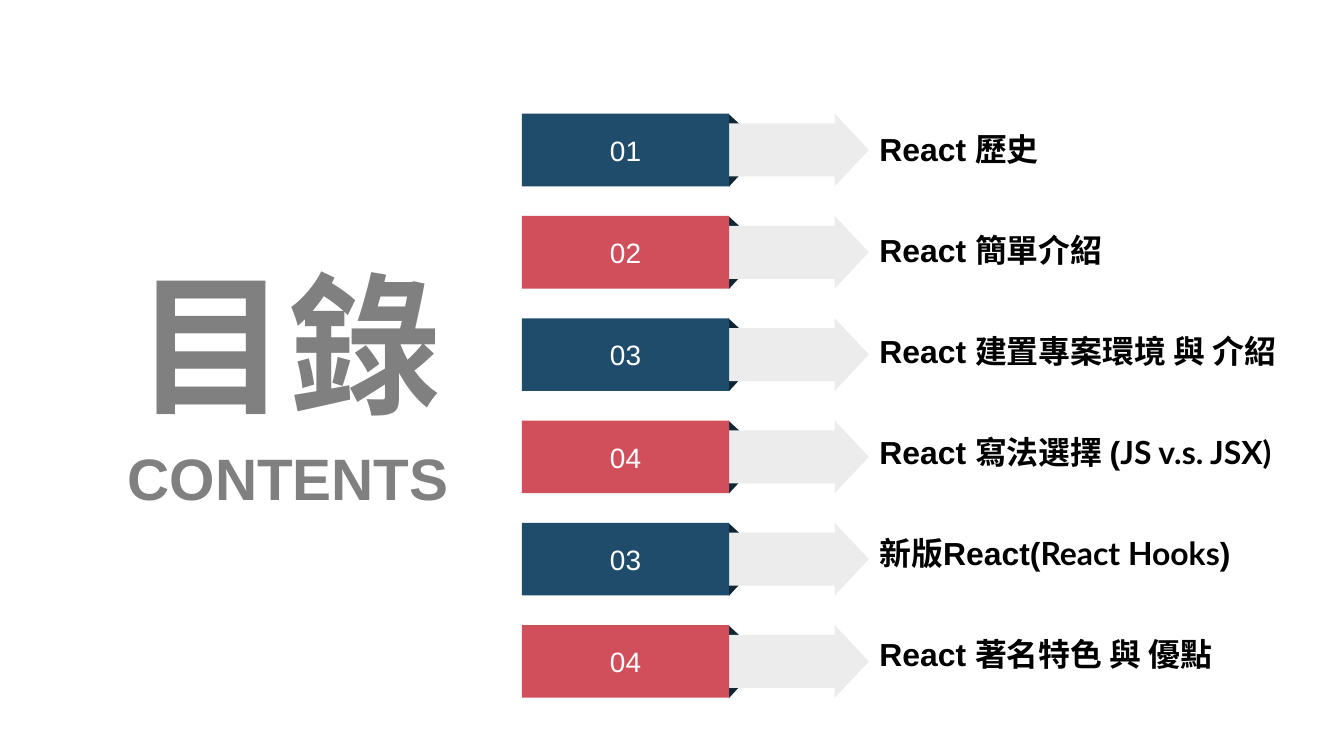
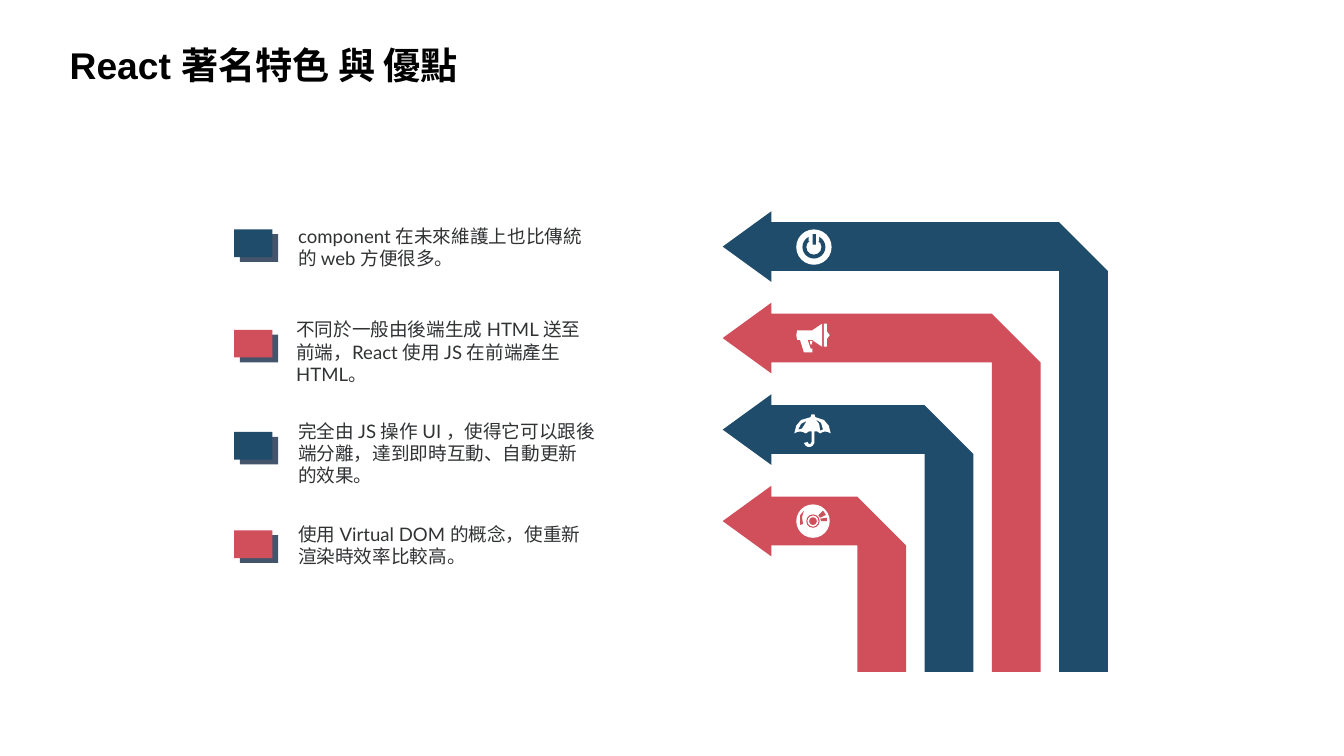
from dataclasses import dataclass

from lxml.etree import SubElement
from pptx import Presentation
from pptx.dml.color import RGBColor
from pptx.enum.shapes import MSO_SHAPE as Preset
from pptx.enum.text import MSO_ANCHOR as Anchor, MSO_AUTO_SIZE as AutoSize, PP_ALIGN as Align
from pptx.oxml.ns import qn
from pptx.util import Inches, Pt

NAVY = RGBColor(0x1F, 0x4C, 0x6B)
ROSE = RGBColor(0xD1, 0x4E, 0x5B)
FOLD = RGBColor(0x10, 0x26, 0x35)
SLATE = RGBColor(0x44, 0x54, 0x6A)
PALE = RGBColor(0xEC, 0xEC, 0xEC)
GREY = RGBColor(0x80, 0x80, 0x80)
INK = RGBColor(0x30, 0x32, 0x33)
BLACK = RGBColor(0, 0, 0)
WHITE = RGBColor(0xFF, 0xFF, 0xFF)
ACCENTS = (NAVY, ROSE)
HEADING_FONT, BODY_FONT = "Arial", "Lato"


@dataclass
class Box:
    left: float
    top: float
    width: float
    height: float

    def area(self, left, top, width, height):
        x, y = self.point(left, top)
        return Box(x, y, round(self.width * width / 100), round(self.height * height / 100))

    def point(self, x, y):
        return round(self.left + self.width * x / 100), round(self.top + self.height * y / 100)

    def edges(self):
        return self.left, self.top, self.width, self.height


PAGE = Box(0, 0, Inches(14.06), Inches(7.91))

CONTENTS = [
    ("01", [("React 歷史", HEADING_FONT)]),
    ("02", [("React 簡單介紹", HEADING_FONT)]),
    ("03", [("React 建置專案環境 與 介紹", HEADING_FONT)]),
    ("04", [("React 寫法選擇 (", HEADING_FONT), ("JS v.s. JSX)", BODY_FONT)]),
    ("03", [("新版React(", HEADING_FONT), ("React Hooks", BODY_FONT), (")", HEADING_FONT)]),
    ("04", [("React 著名特色 與 優點", HEADING_FONT)]),
]

FEATURES = [
    (21.48, 29.08, "component 在未來維護上也比傳統的 web 方便很多。"),
    (21.34, 41.47, "不同於一般由後端生成 HTML 送至前端，React 使用 JS 在前端產生HTML。"),
    (21.48, 54.87, "完全由 JS 操作 UI ，使得它可以跟後端分離，達到即時互動、自動更新的效果。"),
    (21.48, 68.52, "使用 Virtual DOM 的概念，使重新渲染時效率比較高。"),
]
MARKER_TOPS = (30.34, 43.62, 57.14, 70.16)

MEGAPHONE = [
    [(3, 12), (19, 12), (20, 11), (29, 5), (29, 29), (20, 23), (19, 22), (14, 22),
     (17, 31), (19, 31), (19, 35), (10, 35), (6, 22), (3, 22), (2, 17)],
    [(31, 5), (34, 5), (34, 13), (37, 17), (34, 21), (34, 29), (31, 29)],
    [(16, 23), (19, 23), (18, 27), (17, 27)],
]
UMBRELLA = [
    [(14, 33), (15, 35), (17, 35), (18, 33), (18, 22), (15, 22), (12, 24), (9, 22.5),
     (6, 22), (3, 22.5), (0, 24), (2, 16), (7, 10), (17, 7), (18, 4), (21, 4), (22, 7),
     (31, 10), (36, 16), (38, 24), (35, 22.5), (32, 22), (30, 22.5), (27, 24), (24, 22),
     (21, 22), (21, 34), (19, 37), (17, 38), (14, 38), (12, 37), (10, 34)],
    [(27, 21), (30, 20), (28, 13), (22, 9), (26, 14)],
    [(4, 20), (8, 19), (13, 11), (7, 14)],
]
DISC_GLINTS = [
    [(10, 9), (6, 14), (6, 24), (9, 23), (8, 16)],
    [(25, 14), (27, 16.5), (33, 13.5), (30, 9)],
    [(27, 17.5), (28, 20), (34, 20), (34, 16.5)],
]


def paint(shape, color):
    shape.shadow.inherit = False
    shape.fill.solid()
    shape.fill.fore_color.rgb = color
    shape.line.fill.background()
    return shape


def add_block(slide, preset, box, color, adjustments=(), rotation=0):
    shape = paint(slide.shapes.add_shape(preset, *box.edges()), color)
    for index, value in enumerate(adjustments):
        shape.adjustments[index] = value
    shape.rotation = rotation
    return shape


def add_outline(slide, contours, color):
    builder = None
    for first, *rest in contours:
        if builder is None:
            builder = slide.shapes.build_freeform(*first, scale=1.0)
        else:
            builder.move_to(*first)
        builder.add_line_segments(rest, close=True)
    return paint(builder.convert_to_shape(), color)


def write(paragraph, text, font=HEADING_FONT, size=24, color=BLACK, bold=False, align=Align.LEFT):
    paragraph.alignment = align
    run = paragraph.add_run()
    run.text = text
    run.font.name, run.font.size, run.font.bold = font, Pt(size), bold
    run.font.color.rgb = color


def prepare_frame(shape, anchor=Anchor.MIDDLE, margins=(0, 0)):
    frame = shape.text_frame
    frame.word_wrap = True
    frame.auto_size = AutoSize.NONE
    frame.vertical_anchor = anchor
    frame.margin_left = frame.margin_right = Inches(margins[0])
    frame.margin_top = frame.margin_bottom = Inches(margins[1])
    return frame


def add_text(slide, box, text, margins=(0, 0), **style):
    shape = slide.shapes.add_textbox(*box.edges())
    write(prepare_frame(shape, Anchor.TOP, margins).paragraphs[0], text, **style)


def place(shape, box):
    shape.left, shape.top, shape.width, shape.height = box.edges()


def set_title(slide, box, text, **style):
    title = slide.shapes.title
    place(title, box)
    write(prepare_frame(title).paragraphs[0], text, bold=True, **style)


def add_banner(slide, box, number, color):
    for top, rotation in ((0, 0), (84.2, 90)):
        add_block(slide, Preset.RIGHT_TRIANGLE, box.area(59.5, top, 3.6, 15.8), FOLD, rotation=rotation)
    add_block(slide, Preset.RIGHT_ARROW, box.area(33.06, 0, 66.94, 100), PALE, (0.73, 0.47))
    plate = add_block(slide, Preset.RECTANGLE, box.area(0, 0, 59.78, 100), color)
    write(prepare_frame(plate).paragraphs[0], number, size=21.1, color=WHITE, align=Align.CENTER)


def fill_contents_list(placeholder, box):
    place(placeholder, box)
    frame = prepare_frame(placeholder, Anchor.TOP)
    for index, (_, runs) in enumerate(CONTENTS):
        paragraph = frame.add_paragraph() if index else frame.paragraphs[0]
        paragraph.line_spacing = Pt(76)
        paragraph.space_before = paragraph.space_after = Pt(0)
        for text, font in runs:
            write(paragraph, text, font=font, bold=True)
        properties = paragraph._p.get_or_add_pPr()
        properties.set("marL", "0")
        properties.set("indent", "0")
        SubElement(properties, qn("a:buNone"))


def build_contents_slide(presentation):
    slide = presentation.slides.add_slide(presentation.slide_layouts[1])
    set_title(slide, PAGE.area(9.46, 32.87, 23.97, 24.53), "目錄",
              size=115, color=GREY, align=Align.CENTER)
    add_text(slide, PAGE.area(8.61, 58.53, 25.68, 9.36), "CONTENTS",
             size=44, color=GREY, bold=True, align=Align.CENTER)
    for index, (number, _) in enumerate(CONTENTS):
        banner = PAGE.area(38.83, 15.04 + 13.53 * index, 25.82, 9.6)
        add_banner(slide, banner, number, ACCENTS[index % 2])
    fill_contents_list(slide.placeholders[1], PAGE.area(65.43, 8.9, 32.72, 80))


def add_marker(slide, box, color):
    add_block(slide, Preset.RECTANGLE, box.area(13, 14.7, 87, 85.3), SLATE)
    add_block(slide, Preset.RECTANGLE, box.area(0, 0, 87, 85.3), color)


def add_bent_arrow(slide, box, index, color):
    tip, right = 7.68 + 19.86 * index, 100 - 17.46 * index
    head_x, band_x = 12.66, 12.66
    head_half, band_half = 7.68, 5.29
    inner = right - band_x
    upper, lower = tip - band_half, tip + band_half
    outline = [(head_x, tip - head_half), (head_x, upper), (inner, upper), (right, lower),
               (right, 100), (inner, 100), (inner, lower), (head_x, lower),
               (head_x, tip + head_half), (0, tip)]
    add_outline(slide, [[box.point(*spot) for spot in outline]], color)
    return box.area(18.61, tip - 4.15, 9.93, 8.3)


def cell(box, left, top, width, height):
    return box.area(*(value * 2.5 for value in (left, top, width, height)))


def draw_outline_icon(slide, box, contours, color):
    points = [[box.point(x * 2.5, y * 2.5) for x, y in contour] for contour in contours]
    add_outline(slide, points, color)


def draw_power(slide, box, color):
    add_block(slide, Preset.OVAL, cell(box, 2, 2, 37, 37), WHITE)
    add_block(slide, Preset.DONUT, cell(box, 8.5, 8.5, 24, 24), color, (0.17,))
    add_block(slide, Preset.RECTANGLE, cell(box, 15, 7.5, 11, 7), WHITE)
    add_block(slide, Preset.RECTANGLE, cell(box, 19, 7, 3.5, 11), color)


def draw_megaphone(slide, box, color):
    draw_outline_icon(slide, box, MEGAPHONE, WHITE)


def draw_umbrella(slide, box, color):
    draw_outline_icon(slide, box, UMBRELLA, WHITE)


def draw_disc(slide, box, color):
    add_block(slide, Preset.OVAL, cell(box, 2, 2.5, 35, 35), WHITE)
    add_block(slide, Preset.DONUT, cell(box, 12.5, 13, 14, 14), color, (0.08,))
    add_block(slide, Preset.OVAL, cell(box, 15.5, 16, 8, 8), color)
    draw_outline_icon(slide, box, DISC_GLINTS, color)


def build_features_slide(presentation):
    slide = presentation.slides.add_slide(presentation.slide_layouts[5])
    set_title(slide, PAGE.area(5.19, 5.56, 40.9, 5.94), "React 著名特色 與 優點", size=28)
    arrows = PAGE.area(53.77, 27.94, 28.66, 60.94)
    icons = (draw_power, draw_megaphone, draw_umbrella, draw_disc)
    for index, draw_icon in enumerate(icons):
        color = ACCENTS[index % 2]
        draw_icon(slide, add_bent_arrow(slide, arrows, index, color), color)
    for index, ((left, top, text), marker_top) in enumerate(zip(FEATURES, MARKER_TOPS)):
        add_marker(slide, PAGE.area(17.43, marker_top, 3.27, 4.3), ACCENTS[index % 2])
        add_text(slide, PAGE.area(left, top, 23.54, 10.24), text,
                 margins=(0.1, 0.05), font=BODY_FONT, size=14, color=INK)


def main():
    presentation = Presentation()
    presentation.slide_width, presentation.slide_height = PAGE.width, PAGE.height
    build_contents_slide(presentation)
    build_features_slide(presentation)
    presentation.save("out.pptx")


if __name__ == "__main__":
    main()
